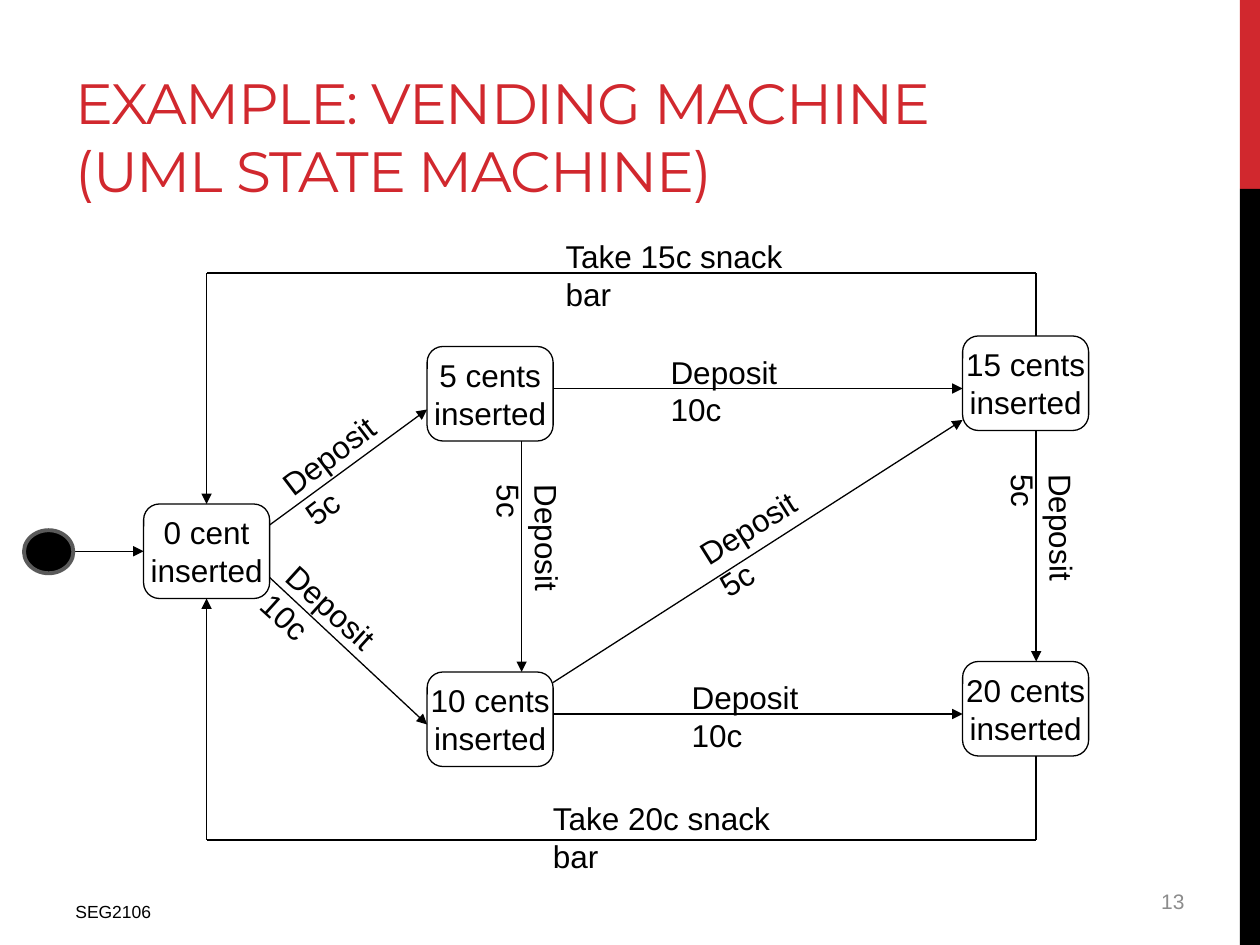
"""Build the vending machine state diagram slide."""
from dataclasses import dataclass
from itertools import pairwise

from lxml.etree import SubElement
from pptx import Presentation
from pptx.dml.color import RGBColor
from pptx.enum.shapes import MSO_CONNECTOR, MSO_SHAPE
from pptx.enum.text import MSO_ANCHOR, MSO_AUTO_SIZE, PP_ALIGN
from pptx.oxml.ns import qn
from pptx.util import Inches, Pt


@dataclass(frozen=True)
class Theme:
    red: str = "D1282E"
    black: str = "000000"
    white: str = "FFFFFF"
    ring: str = "5A5A5A"
    grey: str = "8C8C8C"
    heading: str = "Montserrat"
    body: str = "Arial"
    title_size: float = 32.4
    label_size: float = 18
    number_size: float = 12
    footer_size: float = 10
    thin: float = 0.75
    thick: float = 2.25


@dataclass(frozen=True)
class Area:
    left: float
    top: float
    width: float
    height: float


@dataclass(frozen=True)
class State:
    column: float
    row: float
    name: str


@dataclass(frozen=True)
class Route:
    points: tuple


@dataclass(frozen=True)
class Label:
    column: float
    row: float
    columns: float
    text: str
    turn: float = 0


THEME = Theme()
WIDTH, HEIGHT = 10, 7.5
ORIGIN, STEP = 1.14, 1 / 12
STATE_COLUMNS, STATE_ROWS = 12, 9
LABEL_ROWS = 4.8
SHORT, MEDIUM, LONG = 15.7, 17.2, 27.4

STATES = (
    State(0, 48, "0 cent"),
    State(27, 33, "5 cents"),
    State(27, 64, "10 cents"),
    State(78, 32, "15 cents"),
    State(78, 63, "20 cents"),
)
ROUTES = (
    Route(((-6.6, 52.5), (0, 52.5))),
    Route(((12, 50), (27, 39))),
    Route(((12, 55), (27, 69))),
    Route(((39, 37), (78, 37))),
    Route(((39, 68), (78, 68))),
    Route(((36, 42), (36, 64))),
    Route(((39, 65), (78, 40))),
    Route(((85, 41), (85, 63))),
    Route(((85, 72), (85, 80), (6, 80), (6, 57))),
    Route(((85, 32), (85, 26), (6, 26), (6, 48))),
)
LABELS = (
    Label(11, 40, SHORT, "Deposit 5c", 322.8),
    Label(11, 57, MEDIUM, "Deposit 10c", 42.2),
    Label(49, 33, MEDIUM, "Deposit 10c"),
    Label(51, 64, MEDIUM, "Deposit 10c"),
    Label(30.6, 50.4, SHORT, "Deposit 5c", 89.5),
    Label(51, 47, SHORT, "Deposit 5c", 327.9),
    Label(79.6, 49.4, SHORT, "Deposit 5c", 89.4),
    Label(37.8, 75.5, LONG, "Take 20c snack bar"),
    Label(39, 22, LONG, "Take 15c snack bar"),
)


def share(left: float, top: float, width: float, height: float) -> Area:
    """Turn shares of the slide into an area in inches."""
    return Area(left * WIDTH, top * HEIGHT, width * WIDTH, height * HEIGHT)


def grid(column: float, row: float, columns: float, rows: float) -> Area:
    """Turn diagram columns and rows into an area in inches."""
    return Area(ORIGIN + column * STEP, row * STEP, columns * STEP, rows * STEP)


def lengths(area: Area) -> tuple:
    """Give the four lengths of an area."""
    return tuple(map(Inches, (area.left, area.top, area.width, area.height)))


def apply(target, **formats) -> None:
    """Set each format value on the target."""
    for name, value in formats.items():
        setattr(target, name, value)


def write(box, lines: tuple, size: float, color: str = THEME.black,
          font: str = THEME.body, align=PP_ALIGN.LEFT, **frame_formats):
    """Write one paragraph for each line and return the last span."""
    frame = box.text_frame
    apply(frame, **{"word_wrap": True, **frame_formats})
    for index, line in enumerate(lines):
        para = frame.add_paragraph() if index else frame.paragraphs[0]
        para.alignment = align
        span = para.add_run()
        span.text = line
        apply(span.font, name=font, size=Pt(size))
        span.font.color.rgb = RGBColor.from_string(color)
    return span


def add_text(page, area: Area, text: str, size: float, **formats):
    """Add a text box and return its span."""
    return write(page.shapes.add_textbox(*lengths(area)), (text,), size, **formats)


def add_block(page, kind, area: Area, fill: str, line: str = "",
              weight: float = THEME.thin):
    """Add a filled preset shape with an optional outline."""
    block = page.shapes.add_shape(kind, *lengths(area))
    block.shadow.inherit = False
    block.fill.solid()
    block.fill.fore_color.rgb = RGBColor.from_string(fill)
    if line:
        block.line.color.rgb = RGBColor.from_string(line)
        block.line.width = Pt(weight)
    else:
        block.line.fill.background()
    return block


def add_route(page, route: Route) -> None:
    """Draw the legs of a route and an arrowhead on the last."""
    for start, end in pairwise(route.points):
        ends = [Inches(value) for column, row in (start, end)
                for value in (ORIGIN + column * STEP, row * STEP)]
        leg = page.shapes.add_connector(MSO_CONNECTOR.STRAIGHT, *ends)
        leg.line.color.rgb = RGBColor.from_string(THEME.black)
        leg.line.width = Pt(THEME.thin)
        properties = leg.element.spPr
        SubElement(properties, qn("a:effectLst"))
    SubElement(properties.find(qn("a:ln")), qn("a:tailEnd"), type="triangle")


def add_state(page, state: State) -> None:
    """Draw a rounded state with its two lines of text."""
    block = add_block(page, MSO_SHAPE.ROUNDED_RECTANGLE,
                      grid(state.column, state.row, STATE_COLUMNS, STATE_ROWS),
                      THEME.white, THEME.black)
    write(block, (state.name, "inserted"), THEME.label_size, align=PP_ALIGN.CENTER,
          word_wrap=False, vertical_anchor=MSO_ANCHOR.MIDDLE)


def add_label(page, label: Label) -> None:
    """Write a transition label at its angle."""
    box = page.shapes.add_textbox(
        *lengths(grid(label.column, label.row, label.columns, LABEL_ROWS)))
    box.rotation = label.turn
    write(box, (label.text,), THEME.label_size,
          auto_size=MSO_AUTO_SIZE.SHAPE_TO_FIT_TEXT)


def add_frame(page) -> None:
    """Draw the side band, title, footer and page number."""
    for top, height, color in ((0, 0.2, THEME.red), (0.2, 0.8, THEME.black)):
        add_block(page, MSO_SHAPE.RECTANGLE, share(0.984, top, 0.016, height), color)
    title = add_text(page, Area(0.5, 0.17, 7.58, 1.5),
                     "EXAMPLE: VENDING MACHINE (UML STATE MACHINE)",
                     THEME.title_size, color=THEME.red, font=THEME.heading,
                     vertical_anchor=MSO_ANCHOR.BOTTOM)
    title.font._element.set("spc", "-60")
    add_text(page, Area(0.5, 7.1, 3.75, 0.31), "SEG2106", THEME.footer_size)
    add_text(page, Area(7.17, 6.95, 2.33, 0.4), "13", THEME.number_size,
             color=THEME.grey, align=PP_ALIGN.RIGHT, vertical_anchor=MSO_ANCHOR.MIDDLE)


def main() -> None:
    """Build and save the deck."""
    deck = Presentation()
    apply(deck, slide_width=Inches(WIDTH), slide_height=Inches(HEIGHT))
    page = deck.slides.add_slide(deck.slide_layouts[6])
    add_frame(page)
    for draw, items in ((add_state, STATES), (add_route, ROUTES), (add_label, LABELS)):
        for item in items:
            draw(page, item)
    add_block(page, MSO_SHAPE.OVAL, grid(-11.4, 50.5, 4.7, 4.1),
              THEME.black, THEME.ring, THEME.thick)
    deck.save("out.pptx")


main()
